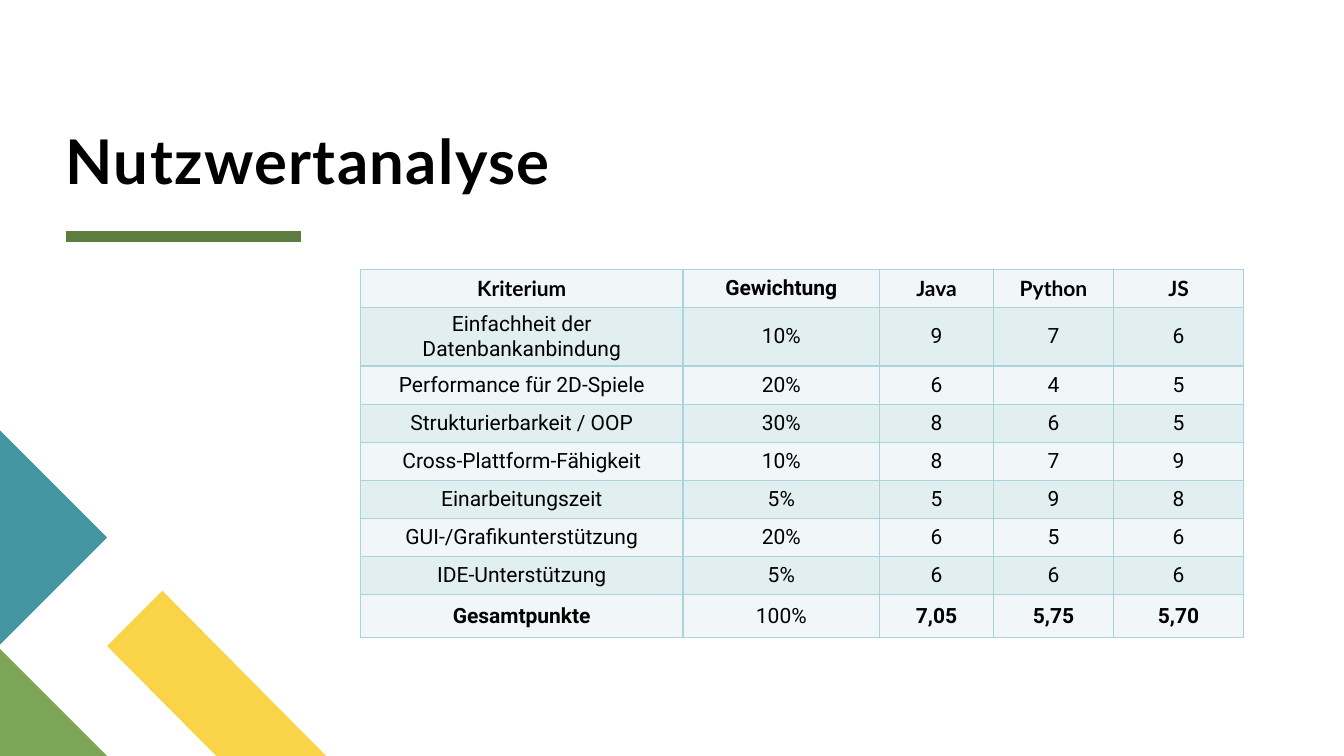
from dataclasses import dataclass

from lxml.etree import SubElement as Sub
from pptx import Presentation
from pptx.dml.color import RGBColor as Rgb
from pptx.enum.shapes import MSO_CONNECTOR as Link
from pptx.enum.text import MSO_ANCHOR as Anchor, PP_ALIGN as Align
from pptx.oxml.ns import qn
from pptx.util import Pt


@dataclass(frozen=True)
class Theme:
    ink: str = "000000"
    rule: str = "5D7D40"
    teal: str = "4495A2"
    green: str = "7CA655"
    gold: str = "F9D448"
    edge: str = "A9D4DB"
    bands: tuple = ("F1F7F8", "E2EFF1")
    head: str = "Lato"
    body: str = "Roboto"
    big: float = 44
    small: float = 15


THEME = Theme()
COLS = (230.4, 140.4, 81.4, 85.7, 92.9)
ROWS = (27.2, 37.5, *[27.2] * 6, 31)
HEADS = ("Kriterium", "Gewichtung", "Java", "Python", "JS")
SCORES = (
    ("Einfachheit der Datenbankanbindung", "10%", "9", "7", "6"),
    ("Performance für 2D-Spiele", "20%", "6", "4", "5"),
    ("Strukturierbarkeit / OOP", "30%", "8", "6", "5"),
    ("Cross-Plattform-Fähigkeit", "10%", "8", "7", "9"),
    ("Einarbeitungszeit", "5%", "5", "9", "8"),
    ("GUI-/Grafikunterstützung", "20%", "6", "5", "6"),
    ("IDE-Unterstützung", "5%", "6", "6", "6"),
)
TOTALS = ("Gesamtpunkte", "100%", "7,05", "5,75", "5,70")


def apply(item, values):
    for name, value in values.items():
        setattr(item, name, value)


def write(par, text, face, size, bold):
    run = par.add_run()
    run.text = text
    apply(run.font, {"name": face, "size": Pt(size), "bold": bold})
    run.font.color.rgb = Rgb.from_string(THEME.ink)
    return run


def draw_title(slide, left, top, width, height):
    box = slide.shapes.add_textbox(Pt(left), Pt(top), Pt(width), Pt(height))
    frame = box.text_frame
    apply(frame, {"word_wrap": True, "vertical_anchor": Anchor.BOTTOM,
                  "margin_left": 0, "margin_right": 0,
                  "margin_top": 0, "margin_bottom": 0})
    par = frame.paragraphs[0]
    par.line_spacing = 0.8
    run = write(par, "Nutzwertanalyse", THEME.head, THEME.big, True)
    run.font._element.set("spc", "100")

    under = Pt(top + height + 28.8)
    rule = slide.shapes.add_connector(
        Link.STRAIGHT, Pt(left), under, Pt(left + 168), under)
    rule.line.color.rgb = Rgb.from_string(THEME.rule)
    rule.line.width = Pt(8)
    Sub(rule._element.spPr, qn("a:effectLst"))


def draw_corner(slide, left, top, width, height):
    """Three cut diamonds that run off the lower left corner."""
    side = 76.5
    shapes = (
        (THEME.gold, ((width, height), (width - 78.5, height),
                      (side, height - 78.5), (side + 39.5, height - 118))),
        (THEME.green, ((side, height), (0, height), (0, height - side))),
        (THEME.teal, ((0, 0), (side, side), (0, 2 * side))),
    )
    for fill, spots in shapes:
        first, *rest = [(Pt(left + x), Pt(top + y)) for x, y in spots]
        pen = slide.shapes.build_freeform(*first)
        pen.add_line_segments(rest, close=True)
        shape = pen.convert_to_shape()
        shape.shadow.inherit = False
        shape.fill.solid()
        shape.fill.fore_color.rgb = Rgb.from_string(fill)
        shape.line.fill.background()


def add_edges(cell):
    props = cell._tc.get_or_add_tcPr()
    for side in "LRTB":
        line = Sub(props, qn(f"a:ln{side}"), w=str(Pt(1)))
        fill = Sub(line, qn("a:solidFill"))
        Sub(fill, qn("a:srgbClr"), val=THEME.edge)


def draw_table(slide, left, top):
    data = (HEADS, *SCORES, TOTALS)
    table = slide.shapes.add_table(
        len(ROWS), len(COLS), Pt(left), Pt(top),
        Pt(sum(COLS)), Pt(sum(ROWS))).table
    apply(table, {"first_row": False, "horz_banding": False})
    for col, width in zip(table.columns, COLS):
        col.width = Pt(width)
    for row, height in zip(table.rows, ROWS):
        row.height = Pt(height)
    for i, texts in enumerate(data):
        for j, text in enumerate(texts):
            cell = table.cell(i, j)
            add_edges(cell)
            cell.fill.solid()
            cell.fill.fore_color.rgb = Rgb.from_string(THEME.bands[i % 2])
            apply(cell, {"vertical_anchor": Anchor.MIDDLE,
                         "margin_left": Pt(6.5), "margin_right": Pt(6.5),
                         "margin_top": Pt(3), "margin_bottom": Pt(3)})
            par = cell.text_frame.paragraphs[0]
            par.alignment = Align.CENTER
            face = THEME.head if i == 0 and j != 1 else THEME.body
            bold = i == 0 or (texts is TOTALS and j != 1)
            write(par, text, face, THEME.small, bold)


def main():
    deck = Presentation()
    apply(deck, {"slide_width": Pt(960), "slide_height": Pt(540)})
    slide = deck.slides.add_slide(deck.slide_layouts[6])
    draw_corner(slide, 0, 307.5, 233, 232.5)
    draw_title(slide, 47, 8, 856, 132.4)
    draw_table(slide, 257.5, 192.3)
    deck.save("out.pptx")


if __name__ == "__main__":
    main()
